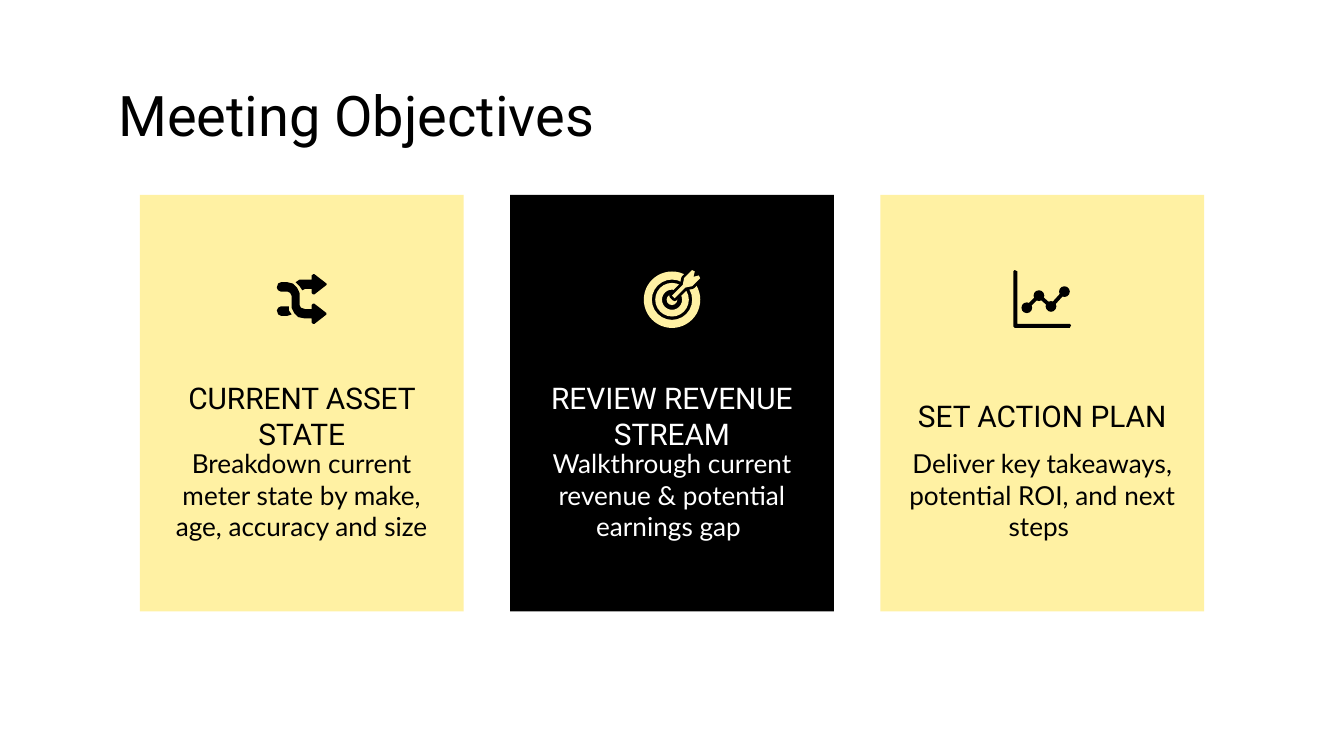
"""Build the meeting objectives slide with three cards."""
from dataclasses import dataclass
from itertools import pairwise
from typing import Callable

from lxml import etree
from pptx import Presentation
from pptx.dml.color import RGBColor
from pptx.enum.shapes import MSO_CONNECTOR, MSO_SHAPE
from pptx.enum.text import MSO_ANCHOR, MSO_AUTO_SIZE, PP_ALIGN
from pptx.oxml.ns import qn
from pptx.shapes.autoshape import Shape
from pptx.shapes.shapetree import SlideShapes
from pptx.util import Inches, Pt

RECT, OVAL, DONUT = MSO_SHAPE.RECTANGLE, MSO_SHAPE.OVAL, MSO_SHAPE.DONUT
STRAIGHT = MSO_CONNECTOR.STRAIGHT
TOP, MIDDLE = MSO_ANCHOR.TOP, MSO_ANCHOR.MIDDLE
LEFT, CENTER = PP_ALIGN.LEFT, PP_ALIGN.CENTER
NO_FIT = MSO_AUTO_SIZE.NONE

BLACK = RGBColor(0x00, 0x00, 0x00)
WHITE = RGBColor(0xFF, 0xFF, 0xFF)
YELLOW = RGBColor(0xFF, 0xF1, 0xA3)

FIRST, LAST = 1.04, 6.55
WIDE, HIGH, INSET = 2.41, 3.1, 0.05
CARD_TOP, HEAD_TOP, BODY_TOP = 1.45, 2.86, 3.23

Points = list[tuple[float, float]]

LOWER: Points = [
    (2.09, 2.1), (2.14, 2.1), (2.18, 2.11), (2.21, 2.14), (2.23, 2.18),
    (2.23, 2.27), (2.24, 2.29), (2.27, 2.3), (2.32, 2.3), (2.32, 2.27),
    (2.33, 2.26), (2.34, 2.26), (2.43, 2.33), (2.43, 2.34), (2.34, 2.41),
    (2.33, 2.41), (2.32, 2.4), (2.32, 2.37), (2.27, 2.37), (2.22, 2.36),
    (2.19, 2.33), (2.17, 2.29), (2.17, 2.2), (2.16, 2.18), (2.14, 2.17),
    (2.09, 2.17), (2.07, 2.16), (2.06, 2.14), (2.07, 2.11)]
STUB: Points = [
    (2.09, 2.28), (2.15, 2.28), (2.15, 2.31), (2.17, 2.34), (2.14, 2.35),
    (2.09, 2.35), (2.07, 2.34), (2.06, 2.31), (2.07, 2.29)]
UPPER: Points = [
    (2.2, 2.1), (2.23, 2.08), (2.27, 2.08), (2.32, 2.08), (2.32, 2.05),
    (2.33, 2.04), (2.34, 2.04), (2.43, 2.11), (2.43, 2.12), (2.34, 2.19),
    (2.33, 2.19), (2.32, 2.18), (2.32, 2.15), (2.27, 2.15), (2.25, 2.16),
    (2.23, 2.13)]
DART: Points = [
    (5.15, 2.01), (5.17, 2.02), (5.16, 2.06), (5.2, 2.05), (5.21, 2.07),
    (5.15, 2.13), (5.1, 2.14), (5.02, 2.22), (5, 2.2), (5.08, 2.12),
    (5.09, 2.07)]
AXES: Points = [
    (7.55, 2.01), (7.57, 2.02), (7.57, 2.41), (7.96, 2.41), (7.97, 2.42),
    (7.96, 2.44), (7.55, 2.44), (7.54, 2.43), (7.54, 2.02)]
DOTS: Points = [(7.64, 2.29), (7.73, 2.2), (7.82, 2.28), (7.92, 2.17)]


def paint(shape: Shape, fill: RGBColor) -> None:
    shape.shadow.inherit = False
    shape.fill.solid()
    shape.fill.fore_color.rgb = fill
    shape.line.fill.background()


def draw(shapes: SlideShapes, kind: MSO_SHAPE, x: float, y: float,
         w: float, h: float, fill: RGBColor) -> Shape:
    shape = shapes.add_shape(kind, Inches(x), Inches(y), Inches(w), Inches(h))
    paint(shape, fill)
    return shape


def disc(shapes: SlideShapes, x: float, y: float, size: float,
         fill: RGBColor, kind: MSO_SHAPE = OVAL) -> Shape:
    return draw(shapes, kind, x - size / 2, y - size / 2, size, size, fill)


def trace(shapes: SlideShapes, points: Points, fill: RGBColor) -> Shape:
    start, *rest = [(Inches(x), Inches(y)) for x, y in points]
    pen = shapes.build_freeform(*start)
    pen.add_line_segments(rest)
    shape = pen.convert_to_shape()
    paint(shape, fill)
    return shape


def write(shape: Shape, text: str, *, font: str, size: int,
          color: RGBColor = BLACK, align: PP_ALIGN = CENTER,
          anchor: MSO_ANCHOR = MIDDLE, after: int = 0) -> None:
    frame = shape.text_frame
    frame.text = text
    frame.word_wrap = True
    frame.auto_size = NO_FIT
    frame.vertical_anchor = anchor
    frame.margin_left = frame.margin_right = Inches(0.1)
    frame.margin_top = frame.margin_bottom = Inches(0.1)
    line = frame.paragraphs[0]
    line.alignment = align
    line.space_after = Pt(after)
    face = line.runs[0].font
    face.name, face.size = font, Pt(size)
    face.color.rgb = color


def shuffle(shapes: SlideShapes) -> None:
    for points in (LOWER, STUB, UPPER):
        trace(shapes, points, BLACK)


def target(shapes: SlideShapes) -> None:
    for size, band in ((0.42, 0.06), (0.25, 0.05), (0.08, 0.04)):
        ring = disc(shapes, 5, 2.23, size, YELLOW, DONUT)
        ring.adjustments[0] = band / size
    edge = trace(shapes, DART, BLACK)
    edge.line.color.rgb = BLACK
    edge.line.width = Pt(3)
    trace(shapes, DART, YELLOW)


def trend(shapes: SlideShapes) -> None:
    trace(shapes, AXES, BLACK)
    for start, end in pairwise(DOTS):
        ends = [Inches(n) for n in start + end]
        link = shapes.add_connector(STRAIGHT, *ends)
        link.line.color.rgb = BLACK
        link.line.width = Pt(2)
        etree.SubElement(link._element.spPr, qn("a:effectLst"))
    for x, y in DOTS:
        disc(shapes, x, y, 0.08, BLACK)


@dataclass(frozen=True)
class Card:
    head: str
    body: str
    fill: RGBColor
    ink: RGBColor
    icon: Callable[[SlideShapes], None]


CARDS = [
    Card("CURRENT ASSET STATE",
         "Breakdown current meter state by make, age, accuracy and size",
         YELLOW, BLACK, shuffle),
    Card("REVIEW REVENUE STREAM",
         "Walkthrough current revenue & potential earnings gap ",
         BLACK, WHITE, target),
    Card("SET ACTION PLAN",
         "Deliver key takeaways, potential ROI, and next steps ",
         YELLOW, BLACK, trend),
]


def place(shapes: SlideShapes, card: Card, x: float) -> None:
    draw(shapes, RECT, x, CARD_TOP, WIDE, HIGH, card.fill)
    left, width = Inches(x + INSET), Inches(WIDE - 2 * INSET)
    body = shapes.add_textbox(left, Inches(BODY_TOP), width, Inches(0.89))
    write(body, card.body, font="Lato", size=14, color=card.ink,
          anchor=TOP, after=16)
    head = shapes.add_textbox(left, Inches(HEAD_TOP), width, Inches(0.46))
    write(head, card.head, font="Roboto", size=16, color=card.ink)
    card.icon(shapes)


def main() -> None:
    deck = Presentation()
    deck.slide_width = Inches(10)
    deck.slide_height = deck.slide_width * 9 // 16
    shapes = deck.slides.add_slide(deck.slide_layouts[5]).shapes
    title = shapes.title
    title.left, title.top = Inches(0.78), Inches(0.59)
    title.width, title.height = Inches(8.43), Inches(0.52)
    write(title, "Meeting Objectives", font="Roboto", size=30, align=LEFT)
    step = (LAST - FIRST) / (len(CARDS) - 1)
    for i, card in enumerate(CARDS):
        place(shapes, card, FIRST + i * step)
    deck.save("out.pptx")


if __name__ == "__main__":
    main()
